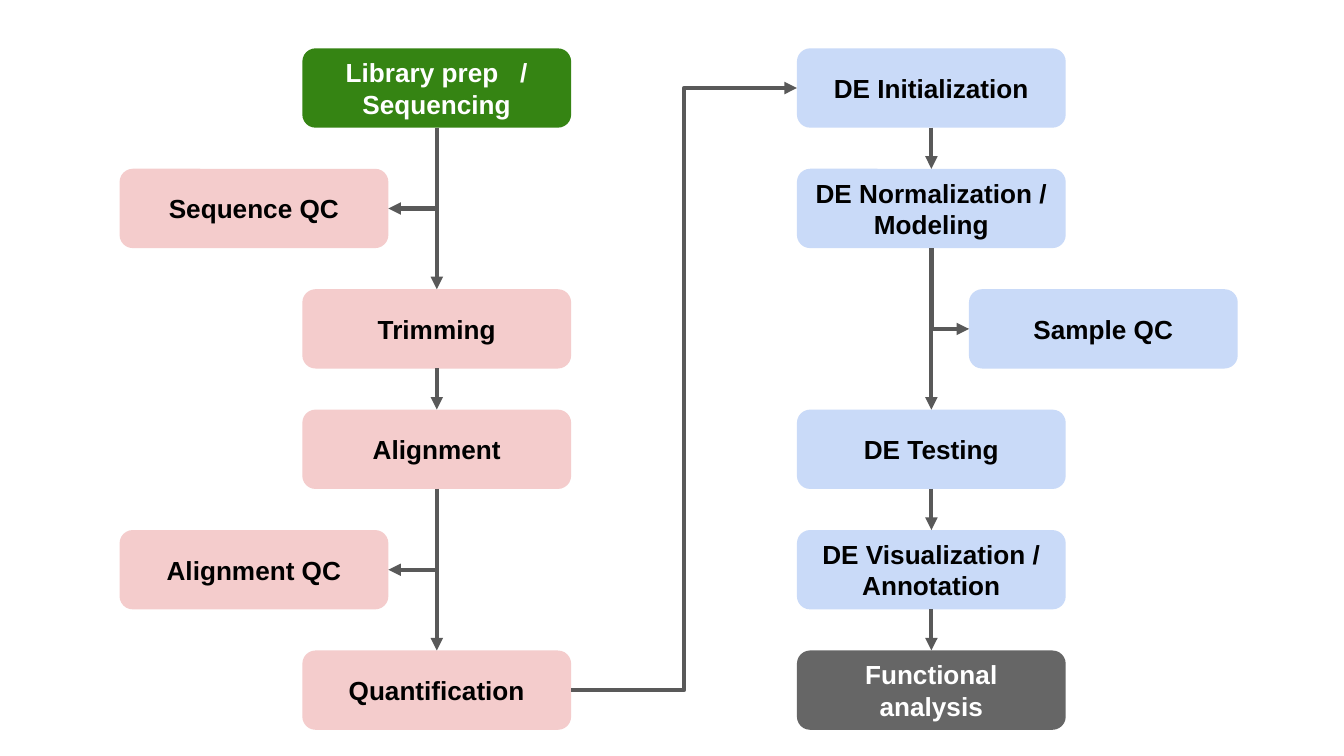
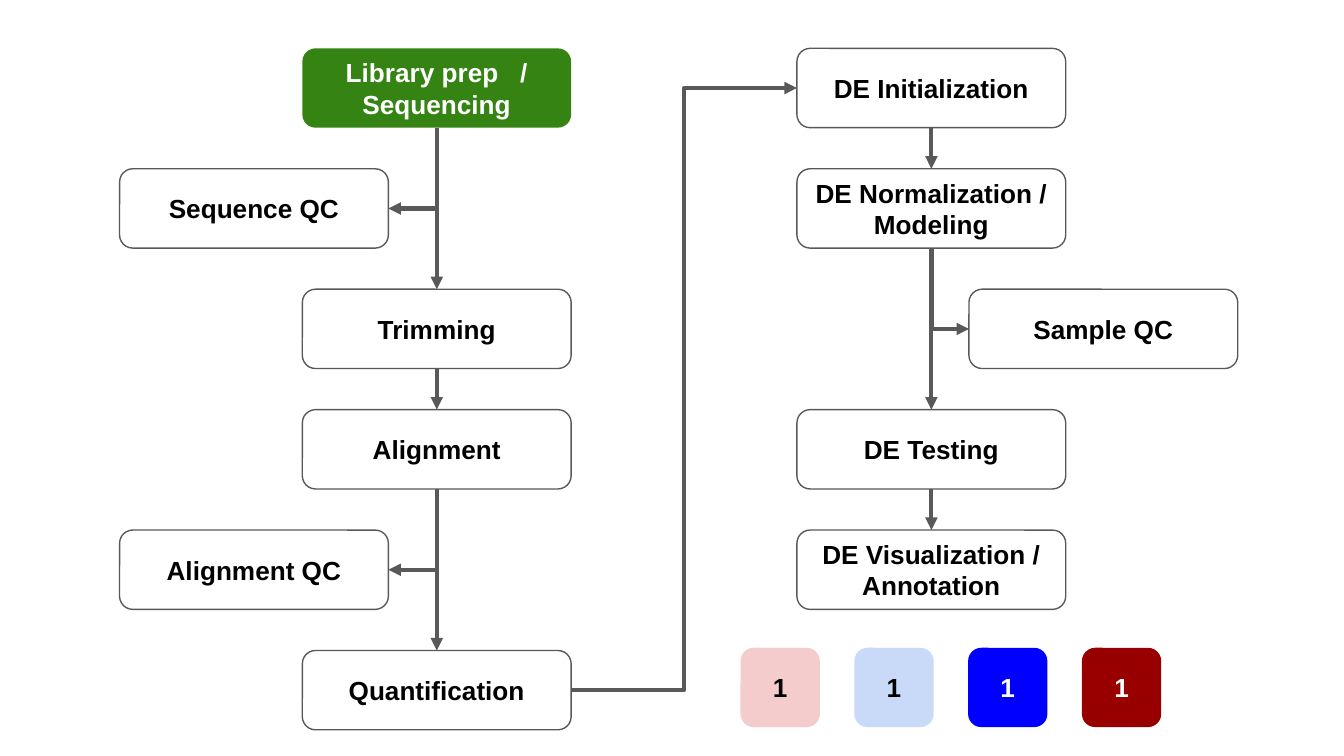
from pptx import Presentation
from pptx.dml.color import RGBColor
from pptx.enum.shapes import MSO_CONNECTOR as Link, MSO_SHAPE as Preset
from pptx.enum.text import MSO_ANCHOR as Anchor, PP_ALIGN as Align
from pptx.oxml.ns import qn
from pptx.util import Inches, Pt
from lxml.etree import SubElement

GREEN, PINK, SKY = "358413", "F4CCCC", "C9DAF8"
BLUE, RED, GREY = "0000FF", "980000", "666666"
STROKE, WHITE, BLACK = "595959", "FFFFFF", "000000"
SLIDE_WIDTH = 10
SLIDE_HEIGHT = SLIDE_WIDTH * 9 / 16
BOX_WIDTH, BOX_HEIGHT = 2, 0.59
FIRST_ROW, LAST_ROW = 0.36, 4.84
ROW_PITCH = (LAST_ROW - FIRST_ROW) / 5
QC_LEFT, READS_LEFT, DE_LEFT, SAMPLE_LEFT = 0.89, 2.25, 5.93, 7.21
LEGEND_LEFT, LEGEND_TOP, LEGEND_PITCH = 5.51, 4.82, (8.05 - 5.51) / 3
TOP, LEFT, BOTTOM, RIGHT = range(4)

LIBRARY = "Library prep   / Sequencing"
FUNCTIONAL = "Functional analysis"
READ_STEPS = [
    ("Sequence QC", QC_LEFT, 1),
    ("Trimming", READS_LEFT, 2),
    ("Alignment", READS_LEFT, 3),
    ("Alignment QC", QC_LEFT, 4),
    ("Quantification", READS_LEFT, 5),
]
DE_STEPS = [
    ("DE Initialization", DE_LEFT, 0),
    ("DE Normalization / Modeling", DE_LEFT, 1),
    ("Sample QC", SAMPLE_LEFT, 2),
    ("DE Testing", DE_LEFT, 3),
    ("DE Visualization / Annotation", DE_LEFT, 4),
]
CHAINS = [
    [LIBRARY, "Trimming", "Alignment", "Quantification"],
    ["DE Initialization", "DE Normalization / Modeling", "DE Testing",
     "DE Visualization / Annotation", FUNCTIONAL],
]
BRANCHES = [
    (LIBRARY, "Sequence QC"),
    ("Alignment", "Alignment QC"),
    ("DE Normalization / Modeling", "Sample QC"),
]
LEGEND = [(PINK, BLACK), (SKY, BLACK), (BLUE, WHITE), (RED, WHITE)]


def color(hex_value):
    return RGBColor.from_string(hex_value)


def apply(target, values):
    for key, value in values.items():
        setattr(target, key, value)


def draw_box(slide, label, left, top, width=BOX_WIDTH, fill=None, ink=BLACK):
    box = slide.shapes.add_shape(
        Preset.ROUNDED_RECTANGLE, Inches(left), Inches(top), Inches(width), Inches(BOX_HEIGHT))
    box.shadow.inherit = False
    if fill:
        box.fill.solid()
        box.fill.fore_color.rgb = color(fill)
        box.line.fill.background()
    else:
        box.fill.background()
        box.line.color.rgb = color(STROKE)
        box.line.width = Pt(0.75)
    frame = box.text_frame
    margins = {f"margin_{side}": Inches(0.1) for side in ("left", "right", "top", "bottom")}
    apply(frame, {"word_wrap": True, "vertical_anchor": Anchor.MIDDLE, **margins})
    paragraph = frame.paragraphs[0]
    paragraph.alignment = Align.CENTER
    run = paragraph.add_run()
    run.text = label
    apply(run.font, {"name": "Arial", "size": Pt(14), "bold": True})
    run.font.color.rgb = color(ink)
    return box


def draw_arrow(slide, source, source_side, target, target_side, kind=Link.STRAIGHT):
    arrow = slide.shapes.add_connector(kind, 0, 0, 0, 0)
    arrow.begin_connect(source, source_side)
    arrow.end_connect(target, target_side)
    arrow.line.color.rgb = color(STROKE)
    arrow.line.width = Pt(2.25)
    properties = arrow._element.spPr
    SubElement(properties.find(qn("a:ln")), qn("a:tailEnd"), type="triangle")
    SubElement(properties, qn("a:effectLst"))
    return arrow


def draw_branch(slide, source, target):
    leftward = target.left < source.left
    side = RIGHT if leftward else LEFT
    branch = draw_arrow(slide, source, BOTTOM, target, side, Link.ELBOW)
    run, drop = abs(branch.end_x - branch.begin_x), branch.end_y - branch.begin_y
    center_x = (branch.begin_x + branch.end_x) // 2
    center_y = (branch.begin_y + branch.end_y) // 2
    apply(branch, {"left": center_x - drop // 2, "top": center_y - run // 2,
                   "width": drop, "height": run})
    properties = branch._element.spPr
    properties.find(qn("a:prstGeom")).set("prst", "bentConnector2")
    turn = {"rot": str((90 if leftward else 270) * 60000),
            "flipH": "0" if leftward else "1", "flipV": "0"}
    for key, value in turn.items():
        properties.find(qn("a:xfrm")).set(key, value)


def draw_workflow(slide, read_fill=None, de_fill=None, with_functional=False):
    steps = [(LIBRARY, READS_LEFT, 0, GREEN, WHITE)]
    steps += [(*step, read_fill, BLACK) for step in READ_STEPS]
    steps += [(*step, de_fill, BLACK) for step in DE_STEPS]
    if with_functional:
        steps.append((FUNCTIONAL, DE_LEFT, 5, GREY, WHITE))
    boxes = {
        label: draw_box(slide, label, left, FIRST_ROW + row * ROW_PITCH, fill=fill, ink=ink)
        for label, left, row, fill, ink in steps
    }
    for chain in CHAINS:
        present = [boxes[label] for label in chain if label in boxes]
        for source, target in zip(present, present[1:]):
            draw_arrow(slide, source, BOTTOM, target, TOP)
    for source, target in BRANCHES:
        draw_branch(slide, boxes[source], boxes[target])
    draw_arrow(slide, boxes["Quantification"], RIGHT,
               boxes["DE Initialization"], LEFT, Link.ELBOW)


def draw_legend(slide):
    for index, (fill, ink) in enumerate(LEGEND):
        draw_box(slide, "1", LEGEND_LEFT + index * LEGEND_PITCH, LEGEND_TOP,
                 BOX_HEIGHT, fill, ink)


def main():
    deck = Presentation()
    apply(deck, {"slide_width": Inches(SLIDE_WIDTH), "slide_height": Inches(SLIDE_HEIGHT)})
    blank = deck.slide_layouts[6]
    draw_workflow(deck.slides.add_slide(blank), PINK, SKY, with_functional=True)
    outline = deck.slides.add_slide(blank)
    draw_workflow(outline)
    draw_legend(outline)
    deck.save("out.pptx")


main()
